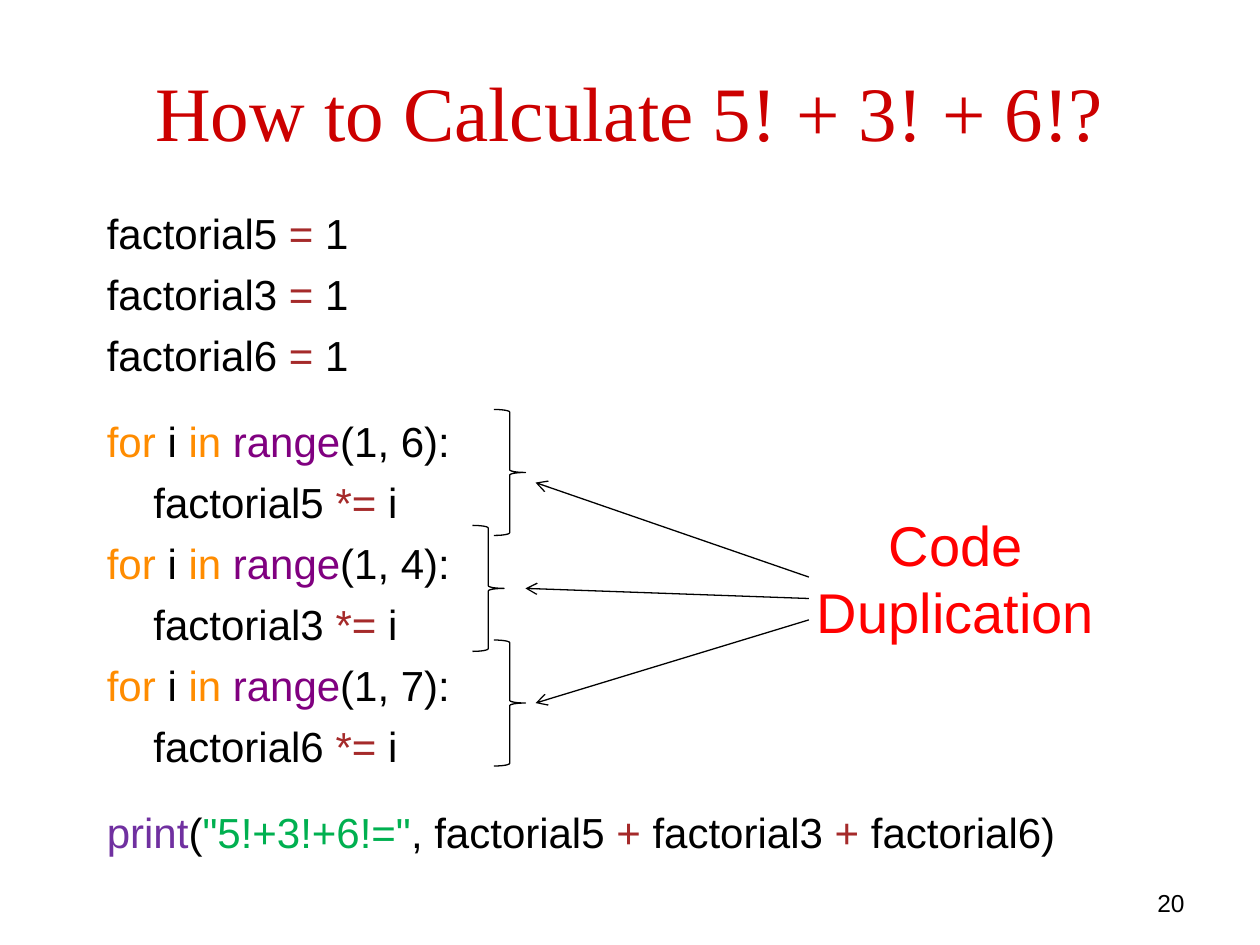
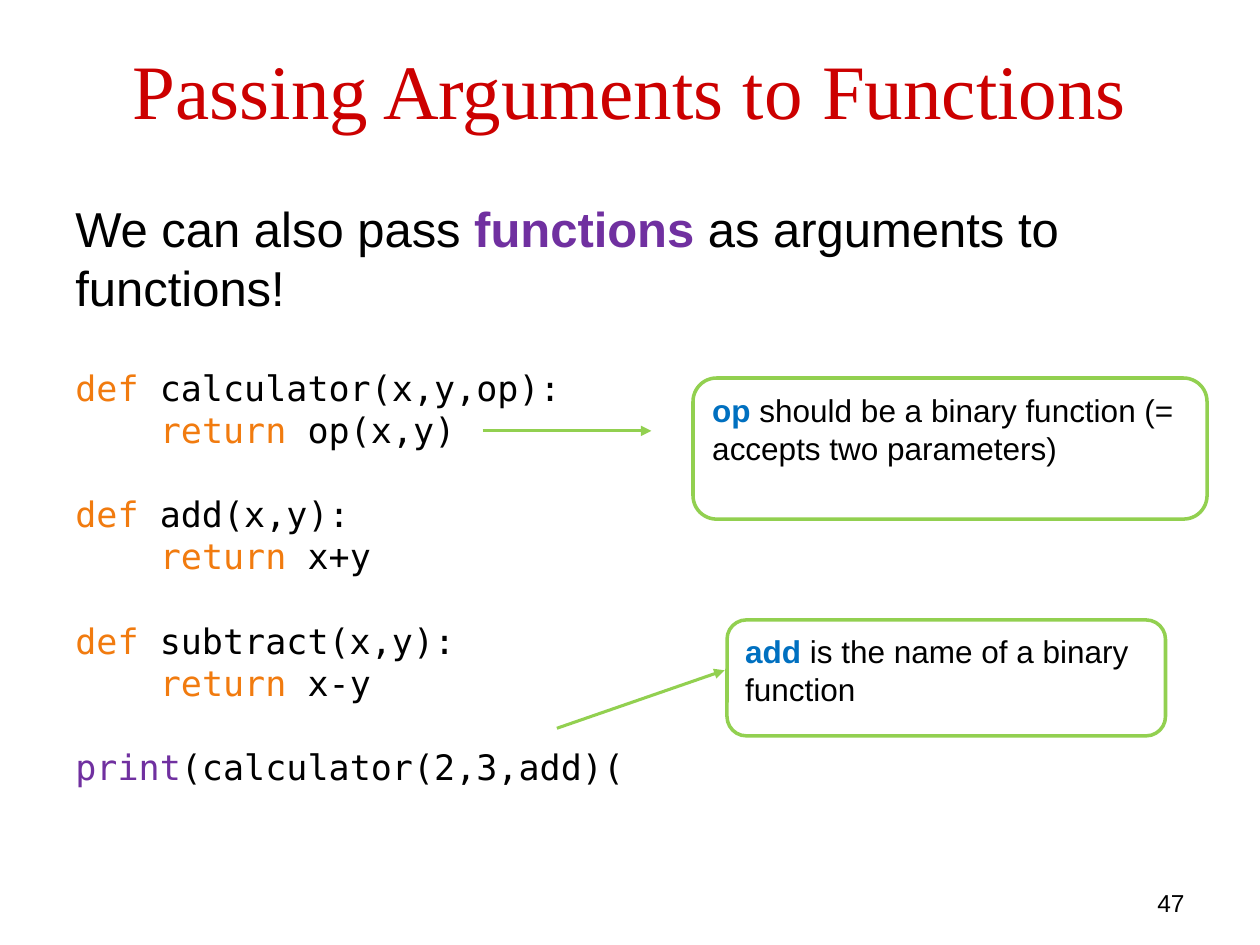
"""Build two lecture slides: code duplication and passing functions as arguments."""
from dataclasses import dataclass
from typing import Any, NamedTuple

from lxml.etree import SubElement
from pptx import Presentation
from pptx.dml.color import RGBColor
from pptx.enum.shapes import MSO_CONNECTOR, MSO_SHAPE
from pptx.enum.text import MSO_ANCHOR, PP_ALIGN
from pptx.oxml.ns import qn
from pptx.util import Inches, Pt


@dataclass(frozen=True)
class Theme:
    black: str = "000000"
    title_red: str = "CC0000"
    alert_red: str = "FF0000"
    operator: str = "A52A2A"
    loop_word: str = "FF8C00"
    builtin: str = "800080"
    purple: str = "7030A0"
    string: str = "00B050"
    keyword: str = "F17B0F"
    name_blue: str = "0070C0"
    callout_green: str = "92D050"
    text_font: str = "Arial"
    code_font: str = "DejaVu Sans Mono"
    title_font: str = "Times New Roman"
    title_size: int = 44
    alert_size: int = 32
    lead_size: int = 28
    listing_size: int = 24
    code_size: int = 20
    callout_size: int = 18
    number_size: int = 14
    line_height: float = 1.2


THEME = Theme()


class Run(NamedTuple):
    text: str
    color: str = THEME.black
    bold: bool = False


class Line(NamedTuple):
    runs: list[Run]
    size: int
    font: str = THEME.text_font
    before: float = 0
    spacing: float = 1
    align: PP_ALIGN = PP_ALIGN.LEFT


class Box(NamedTuple):
    left: float
    top: float
    width: float
    height: float


class Arrow(NamedTuple):
    start: tuple[float, float]
    end: tuple[float, float]
    color: str
    width: float
    head: str


class Callout(NamedTuple):
    box: Box
    name: str
    text: str


def inches(values: tuple[float, ...]) -> list[Inches]:
    """Turn plain numbers into lengths."""
    return [Inches(value) for value in values]


def apply_format(target: Any, values: dict[str, Any]) -> None:
    """Set every attribute named in the values."""
    for name, value in values.items():
        setattr(target, name, value)


def write_lines(shape: Any, lines: list[Line], anchor: MSO_ANCHOR = MSO_ANCHOR.TOP) -> None:
    """Fill a shape with formatted paragraphs."""
    frame = shape.text_frame
    apply_format(frame, {"word_wrap": True, "vertical_anchor": anchor})
    for index, line in enumerate(lines):
        paragraph = frame.add_paragraph() if index else frame.paragraphs[0]
        apply_format(paragraph, {
            "alignment": line.align,
            "space_before": Pt(line.before),
            "line_spacing": Pt(line.size * THEME.line_height * line.spacing),
        })
        for part in line.runs:
            run = paragraph.add_run()
            run.text = part.text
            apply_format(run.font, {"name": line.font, "size": Pt(line.size), "bold": part.bold})
            run.font.color.rgb = RGBColor.from_string(part.color)


def add_text(slide: Any, box: Box, lines: list[Line],
             anchor: MSO_ANCHOR = MSO_ANCHOR.TOP) -> None:
    """Place a text box."""
    write_lines(slide.shapes.add_textbox(*inches(box)), lines, anchor)


def add_outline(slide: Any, kind: MSO_SHAPE, box: Box, color: str, width: float) -> Any:
    """Place an unfilled preset shape."""
    shape = slide.shapes.add_shape(kind, *inches(box))
    shape.shadow.inherit = False
    shape.fill.background()
    shape.line.color.rgb = RGBColor.from_string(color)
    shape.line.width = Pt(width)
    return shape


def add_arrow(slide: Any, arrow: Arrow) -> None:
    """Draw a straight line with a head at its end."""
    connector = slide.shapes.add_connector(
        MSO_CONNECTOR.STRAIGHT, *inches(arrow.start + arrow.end))
    connector.line.color.rgb = RGBColor.from_string(arrow.color)
    connector.line.width = Pt(arrow.width)
    SubElement(connector.line._get_or_add_ln(), qn("a:tailEnd"), type=arrow.head)
    SubElement(connector._element.spPr, qn("a:effectLst"))


def add_callout(slide: Any, callout: Callout) -> None:
    """Draw a rounded note that opens with a highlighted name."""
    shape = add_outline(slide, MSO_SHAPE.ROUNDED_RECTANGLE, callout.box,
                        THEME.callout_green, 2)
    runs = [Run(callout.name, THEME.name_blue, True), Run(callout.text)]
    write_lines(shape, [Line(runs, THEME.callout_size)])


def start_slide(presentation: Any, title: str, title_top: float, number: int) -> Any:
    """Add a blank slide with its title and number."""
    slide = presentation.slides.add_slide(presentation.slide_layouts[6])
    add_text(slide, Box(7.17, 7, 2.33, 0.25),
             [Line([Run(str(number))], THEME.number_size, align=PP_ALIGN.RIGHT)])
    heading = Line([Run(title, THEME.title_red)], THEME.title_size,
                   THEME.title_font, align=PP_ALIGN.CENTER)
    add_text(slide, Box(0.5, title_top, 9, 1.25), [heading], MSO_ANCHOR.MIDDLE)
    return slide


def factorial_lines() -> list[Line]:
    """Compose the listing that repeats one loop three times."""
    numbers = (5, 3, 6)
    size, gap = THEME.listing_size, 6
    lines = [
        Line([Run(f"factorial{number} "), Run("=", THEME.operator), Run(" 1")],
             size, before=gap if index else 0)
        for index, number in enumerate(numbers)
    ]
    for index, number in enumerate(numbers):
        loop = [Run("for ", THEME.loop_word), Run("i "), Run("in ", THEME.loop_word),
                Run("range", THEME.builtin), Run(f"(1, {number + 1}):")]
        body = [Run(f"    factorial{number} "), Run("*= ", THEME.operator), Run("i")]
        lines.append(Line(loop, size, before=gap, spacing=1 if index else 1.5))
        lines.append(Line(body, size, before=gap))
    plus = Run("+", THEME.operator)
    output = [Run("print", THEME.purple), Run("("), Run('"5!+3!+6!="', THEME.string),
              Run(", factorial5 "), plus, Run(" factorial3 "), plus, Run(" factorial6)")]
    return lines + [Line(output, size, before=gap, spacing=1.5)]


def calculator_lines() -> list[Line]:
    """Compose the lead sentence and the calculator listing."""
    lines = [Line([Run("We can also pass "), Run("functions", THEME.purple, True),
                   Run(" as arguments to functions!")], THEME.lead_size)]
    size, font = THEME.code_size, THEME.code_font
    lead_gap = THEME.listing_size * THEME.line_height
    code_gap = size * THEME.line_height
    functions = (("calculator(x,y,op)", "op(x,y)"), ("add(x,y)", "x+y"),
                 ("subtract(x,y)", "x-y"))
    for index, (signature, result) in enumerate(functions):
        lines.append(Line([Run("def", THEME.keyword), Run(f" {signature}:")], size, font,
                          before=code_gap if index else lead_gap))
        lines.append(Line([Run("    "), Run("return", THEME.keyword), Run(f" {result}")],
                          size, font))
    call = [Run("print", THEME.purple), Run("(calculator(2,3,add)(")]
    return lines + [Line(call, size, font, before=code_gap)]


def build_duplication_slide(presentation: Any) -> None:
    """Show three similar loops marked as duplicated code."""
    slide = start_slide(presentation, "How to Calculate 5! + 3! + 6!?", 0.25, 20)
    add_text(slide, Box(0.75, 1.6, 8, 5.3), factorial_lines())
    add_text(slide, Box(6, 4, 3.17, 1.18),
             [Line([Run("Code Duplication", THEME.alert_red)], THEME.alert_size,
                   align=PP_ALIGN.CENTER)])
    for left, top in ((3.92, 3.25), (3.75, 4.17), (3.92, 5.08)):
        add_outline(slide, MSO_SHAPE.RIGHT_BRACE, Box(left, top, 0.25, 1), THEME.black, 0.75)
    for start_y, end in ((4.58, (4.25, 3.83)), (4.75, (4.17, 4.67)), (4.92, (4.25, 5.58))):
        add_arrow(slide, Arrow((6.42, start_y), end, THEME.black, 0.75, "arrow"))


def build_arguments_slide(presentation: Any) -> None:
    """Show a function that takes another function."""
    slide = start_slide(presentation, "Passing Arguments to Functions", 0.08, 47)
    add_text(slide, Box(0.5, 1.53, 9, 5.17), calculator_lines())
    for start, end in (((3.83, 3.42), (5.17, 3.42)), ((4.42, 5.78), (5.75, 5.32))):
        add_arrow(slide, Arrow(start, end, THEME.callout_green, 1.75, "triangle"))
    for callout in (
        Callout(Box(5.5, 3, 4.08, 1.12), "op",
                " should be a binary function (= accepts two parameters)"),
        Callout(Box(5.77, 4.92, 3.48, 0.92), "add", " is the name of a binary function"),
    ):
        add_callout(slide, callout)


def main() -> None:
    """Build and save the presentation."""
    presentation = Presentation()
    apply_format(presentation, {"slide_width": Inches(10), "slide_height": Inches(7.5)})
    build_duplication_slide(presentation)
    build_arguments_slide(presentation)
    presentation.save("out.pptx")


if __name__ == "__main__":
    main()
